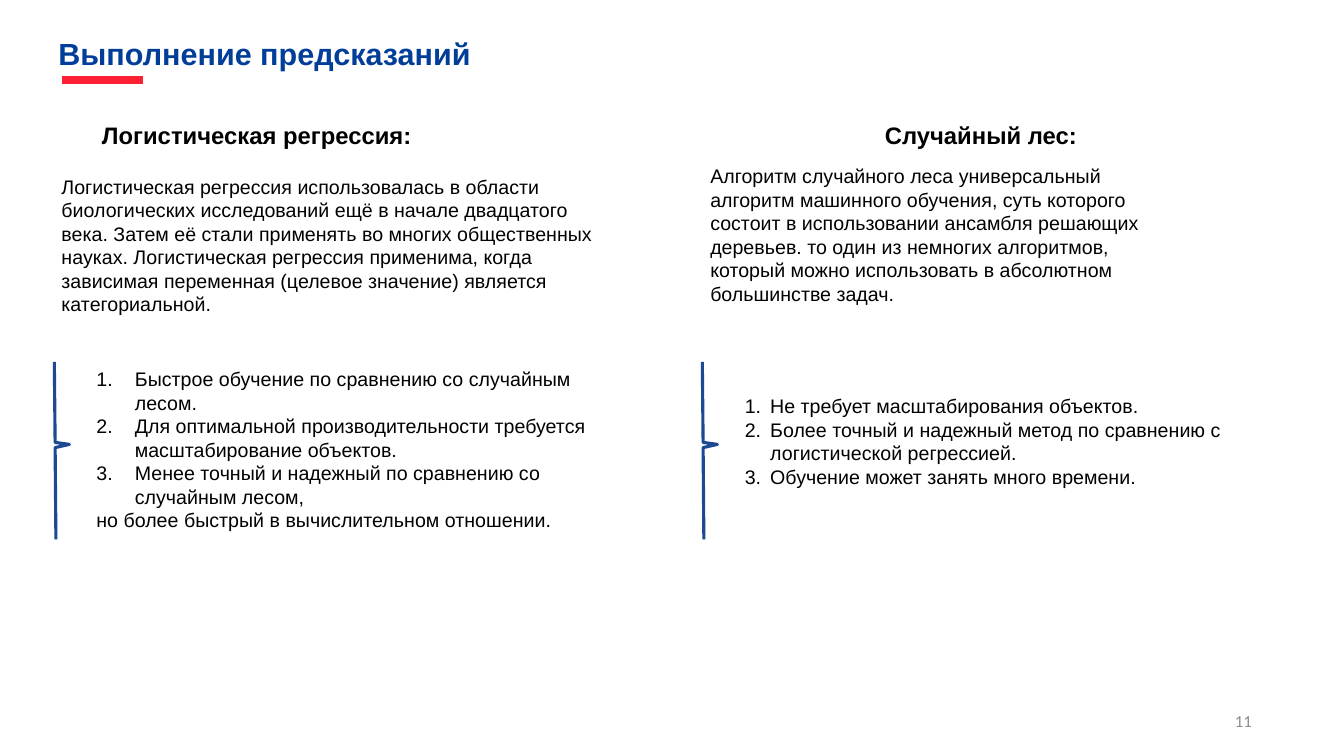
from lxml import etree
from pptx import Presentation
from pptx.dml.color import RGBColor
from pptx.enum.shapes import MSO_CONNECTOR
from pptx.enum.text import MSO_ANCHOR, PP_ALIGN
from pptx.oxml.ns import qn
from pptx.util import Cm, Pt

STRAIGHT = MSO_CONNECTOR.STRAIGHT
TOP, MIDDLE = MSO_ANCHOR.TOP, MSO_ANCHOR.MIDDLE
LEFT, RIGHT = PP_ALIGN.LEFT, PP_ALIGN.RIGHT

TITLE_BLUE = RGBColor(0x01, 0x3E, 0x99)
BRACKET_BLUE = RGBColor(0x1D, 0x49, 0x92)
RED = RGBColor(0xFF, 0x1F, 0x33)
BLACK = RGBColor(0x00, 0x00, 0x00)
GRAY = RGBColor(0x8C, 0x8C, 0x8C)

BODY_INSETS = (0.25, 0.13, 0.25, 0.13)
HEADING_INSETS = (0, 0.03, 0, 0)
BRACKET_TOP = 9.12
BRACKET_STEPS = [(0.02, 2.03), (0.38, 2.08), (0.02, 2.16), (0.04, 4.47)]

LOGISTIC_TEXT = (
    "Логистическая регрессия использовалась в области биологических исследований "
    "ещё в начале двадцатого века. Затем её стали применять во многих общественных "
    "науках. Логистическая регрессия применима, когда зависимая переменная "
    "(целевое значение) является категориальной."
)
FOREST_TEXT = (
    "Алгоритм случайного леса универсальный алгоритм машинного обучения, суть "
    "которого состоит в использовании ансамбля решающих деревьев. то один из "
    "немногих алгоритмов, который можно использовать в абсолютном большинстве задач."
)
LOGISTIC_POINTS = [
    "Быстрое обучение по сравнению со случайным лесом.",
    "Для оптимальной производительности требуется\vмасштабирование объектов.",
    "Менее точный и надежный по сравнению со случайным лесом,",
]
LOGISTIC_CLOSING = "но более быстрый в вычислительном отношении."
FOREST_POINTS = [
    "Не требует масштабирования объектов.",
    "Более точный и надежный метод по сравнению с\vлогистической регрессией.",
    "Обучение может занять много времени.",
]


def add_frame(page, area, insets=BODY_INSETS, anchor=TOP):
    frame = page.shapes.add_textbox(*map(Cm, area)).text_frame
    frame.word_wrap = True
    frame.vertical_anchor = anchor
    frame.margin_left, frame.margin_top, frame.margin_right, frame.margin_bottom = map(Cm, insets)
    return frame


def write(para, text, size=14, color=BLACK, bold=False, name="Arial", align=LEFT):
    para.text = text
    para.alignment = align
    para.font.size = Pt(size)
    para.font.color.rgb = color
    para.font.bold = bold
    para.font.name = name


def number(para, indent):
    properties = para._p.get_or_add_pPr()
    properties.set("marL", str(Cm(indent)))
    properties.set("indent", str(-Cm(indent)))
    etree.SubElement(properties, qn("a:buFont"), typeface="+mj-lt")
    etree.SubElement(properties, qn("a:buAutoNum"), type="arabicPeriod")


def add_heading(page, area, text, size=17, color=BLACK):
    para = add_frame(page, area, HEADING_INSETS).paragraphs[0]
    write(para, text, size, color, bold=True)
    para.line_spacing = 1.01


def add_description(page, area, text):
    write(add_frame(page, area).paragraphs[0], text)


def add_numbered_list(page, area, points, indent, closing=None):
    frame = add_frame(page, area)
    for index, point in enumerate(points):
        para = frame.add_paragraph() if index else frame.paragraphs[0]
        number(para, indent)
        write(para, point)
    if closing:
        write(frame.add_paragraph(), closing)


def add_bracket(page, left):
    builder = page.shapes.build_freeform(Cm(left), Cm(BRACKET_TOP))
    corners = [(Cm(left + x), Cm(BRACKET_TOP + y)) for x, y in BRACKET_STEPS]
    builder.add_line_segments(corners, close=False)
    bracket = builder.convert_to_shape()
    bracket.shadow.inherit = False
    bracket.fill.background()
    bracket.line.color.rgb = BRACKET_BLUE
    bracket.line.width = Pt(2.25)


def add_underline(page, left, right, top):
    rule = page.shapes.add_connector(STRAIGHT, Cm(left), Cm(top), Cm(right), Cm(top))
    rule.line.color.rgb = RED
    rule.line.width = Pt(6)
    etree.SubElement(rule._element.spPr, qn("a:effectLst"))


def add_page_number(page, area, text):
    frame = add_frame(page, area, (0, 0, 0, 0), MIDDLE)
    write(frame.paragraphs[0], text, 12, GRAY, name="Calibri", align=RIGHT)


def main():
    deck = Presentation()
    deck.slide_width, deck.slide_height = Cm(33.87), Cm(19.05)
    page = deck.slides.add_slide(deck.slide_layouts[6])

    add_heading(page, (1.47, 0.84, 21.62, 0.91), "Выполнение предсказаний", 21.8, TITLE_BLUE)
    add_underline(page, 1.55, 3.61, 2.01)

    add_heading(page, (2.57, 3, 8.28, 0.71), "Логистическая регрессия:")
    add_description(page, (1.3, 4.27, 14.2, 3.84), LOGISTIC_TEXT)
    add_bracket(page, 1.37)
    add_numbered_list(page, (2.18, 9.12, 13.46, 5.05), LOGISTIC_POINTS, 0.97, LOGISTIC_CLOSING)

    add_heading(page, (22.3, 3, 4.98, 0.71), "Случайный лес:")
    add_description(page, (17.65, 4.01, 12.55, 3.84), FOREST_TEXT)
    add_bracket(page, 17.7)
    add_numbered_list(page, (18.52, 9.8, 13.82, 2.64), FOREST_POINTS, 0.64)

    add_page_number(page, (23.93, 17.65, 7.62, 1.02), "11")
    deck.save("out.pptx")


if __name__ == "__main__":
    main()
